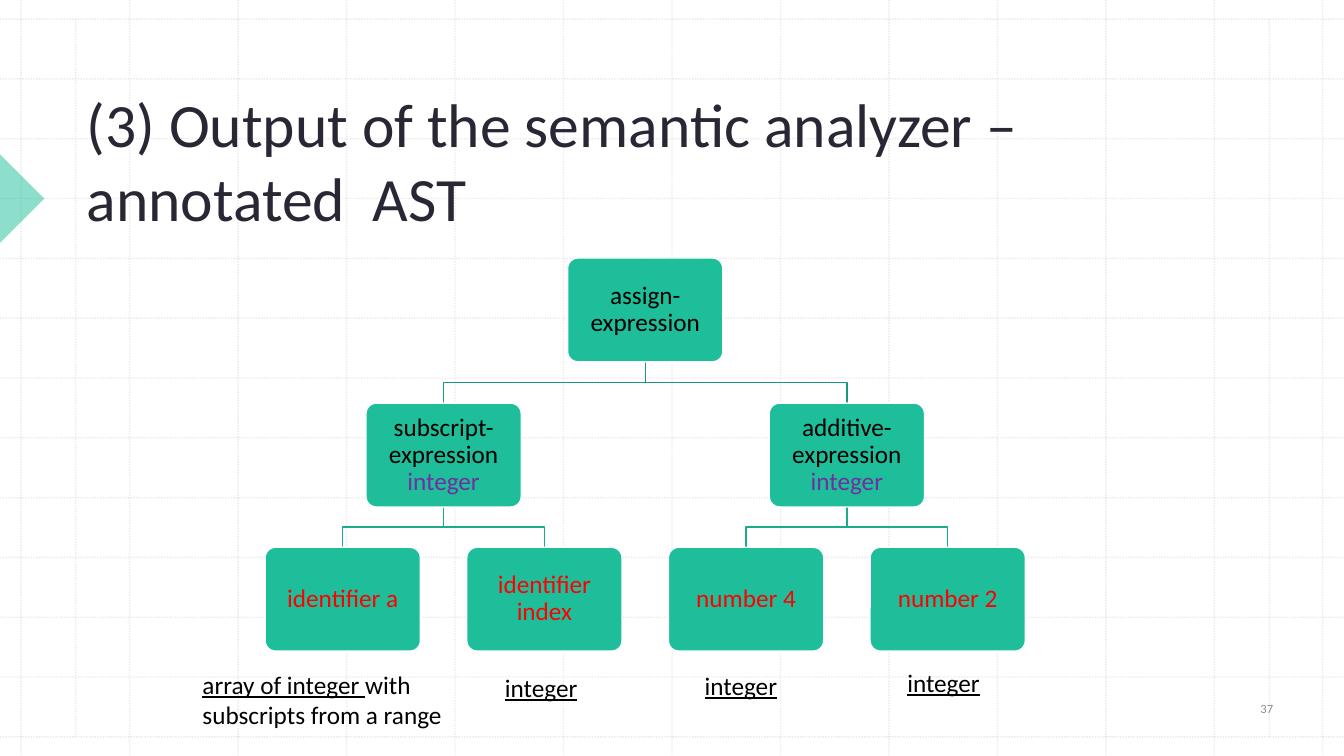
from dataclasses import dataclass

from lxml import etree
from pptx import Presentation
from pptx import util as u
from pptx.dml.color import RGBColor
from pptx.enum import dml, shapes, text
from pptx.oxml.ns import qn

FONT = "Calibri"
GREEN, BLACK, RED, PURPLE = "1EBE9B", "000000", "FF0000", "7030A0"
WIDTH, HEIGHT = 13.33, 7.5
NODE_WIDTH, NODE_HEIGHT = 1.54, 1.03
LEVEL_TOPS = [2.56, 4.0, 5.43]
EDGE_COLOURS = ["18987C", "1BAC8D"]


@dataclass
class Node:
    center: float
    level: int
    label: str
    colour: str = BLACK
    annotation: str = ""
    parent: float | None = None  # center of the parent node


@dataclass
class Note:
    left: float
    top: float
    underlined: str
    plain: str = ""
    width: float = 1.01
    height: float = 0.4


NODES = [
    Node(6.4, 0, "assign-expression"),
    Node(4.4, 1, "subscript-expression", BLACK, "integer", 6.4),
    Node(8.4, 1, "additive-expression", BLACK, "integer", 6.4),
    Node(3.4, 2, "identifier a", RED, parent=4.4),
    Node(5.4, 2, "identifier index", RED, parent=4.4),
    Node(7.4, 2, "number 4", RED, parent=8.4),
    Node(9.4, 2, "number 2", RED, parent=8.4),
]
NOTES = [
    Note(1.91, 6.59, "array of integer ", "with subscripts from a range", 2.94, 0.71),
    Note(4.91, 6.62, "integer"),
    Note(6.89, 6.6, "integer"),
    Note(8.9, 6.57, "integer"),
]


def rgb(colour: str) -> RGBColor:
    return RGBColor.from_string(colour)


def set_opacity(shape, percent: int) -> None:
    for colour in shape.element.iter(qn("a:srgbClr")):
        etree.SubElement(colour, qn("a:alpha"), val=str(percent * 1000))


def add_span(para, words: str, *, size: float = 18, colour: str = BLACK,
             underline: bool | None = None) -> None:
    span = para.add_run()
    span.text = words
    span.font.name = FONT
    span.font.size = u.Pt(size)
    span.font.color.rgb = rgb(colour)
    span.font.underline = underline


def add_text_box(page, left: float, top: float, width: float, height: float):
    box = page.shapes.add_textbox(*map(u.Inches, (left, top, width, height)))
    box.text_frame.word_wrap = True
    return box.text_frame


def add_grid_line(page, x1: float, y1: float, x2: float, y2: float) -> None:
    line = page.shapes.add_connector(
        shapes.MSO_CONNECTOR.STRAIGHT, *map(u.Inches, (x1, y1, x2, y2)))
    line.line.color.rgb = rgb("BCBCBC")
    line.line.width = u.Pt(1)
    line.line.dash_style = dml.MSO_LINE.ROUND_DOT
    set_opacity(line, 30)
    etree.SubElement(line.element.spPr, qn("a:effectLst"))


def add_background(page) -> None:
    for step in range(13):
        x = 0.21 + 12.91 * step / 12
        y = 0.19 + 7.12 * step / 12
        add_grid_line(page, x, 0, x, HEIGHT)
        add_grid_line(page, 0, y, WIDTH, y)
    for margin in (0.75, 12.59):
        add_grid_line(page, margin, 0.19, margin, 7.31)

    marker = page.shapes.add_shape(
        shapes.MSO_SHAPE.RIGHT_TRIANGLE, *map(u.Inches, (-0.31, 1.66, 0.62, 0.62)))
    marker.rotation = 225
    marker.shadow.inherit = False
    marker.fill.solid()
    marker.fill.fore_color.rgb = rgb(GREEN)
    marker.line.fill.background()
    set_opacity(marker, 50)


def add_title(page, words: str) -> None:
    title = page.shapes.title
    title.left, title.top, title.width, title.height = map(
        u.Inches, (0.76, 0.79, 11.29, 1.58))
    frame = title.text_frame
    frame.word_wrap = True
    frame.auto_size = text.MSO_AUTO_SIZE.NONE
    frame.vertical_anchor = text.MSO_ANCHOR.BOTTOM
    para = frame.paragraphs[0]
    para.alignment = text.PP_ALIGN.LEFT
    add_span(para, words, size=44, colour="2A2735")
    page.shapes.element.append(title.element)  # in front of the grid


def add_edge(page, node: Node) -> None:
    start = LEVEL_TOPS[node.level - 1] + NODE_HEIGHT
    end = LEVEL_TOPS[node.level]
    middle = (start + end) / 2
    points = [(node.parent, start), (node.parent, middle),
              (node.center, middle), (node.center, end)]
    corners = [(u.Inches(x), u.Inches(y)) for x, y in points]
    builder = page.shapes.build_freeform(*corners[0])
    builder.add_line_segments(corners[1:], close=False)
    edge = builder.convert_to_shape()
    edge.shadow.inherit = False
    edge.fill.background()
    edge.line.color.rgb = rgb(EDGE_COLOURS[node.level - 1])
    edge.line.width = u.Pt(1)


def add_node(page, node: Node) -> None:
    box = page.shapes.add_shape(
        shapes.MSO_SHAPE.ROUNDED_RECTANGLE,
        u.Inches(node.center - NODE_WIDTH / 2), u.Inches(LEVEL_TOPS[node.level]),
        u.Inches(NODE_WIDTH), u.Inches(NODE_HEIGHT))
    box.adjustments[0] = 0.1
    box.shadow.inherit = False
    box.fill.solid()
    box.fill.fore_color.rgb = rgb(GREEN)
    box.line.color.rgb = rgb("FFFFFF")
    box.line.width = u.Pt(1)

    frame = box.text_frame
    frame.word_wrap = True
    frame.vertical_anchor = text.MSO_ANCHOR.MIDDLE
    frame.margin_left = frame.margin_right = u.Inches(0.1)
    frame.margin_top = frame.margin_bottom = u.Inches(0.1)
    para = frame.paragraphs[0]
    para.alignment = text.PP_ALIGN.CENTER
    para.line_spacing = 0.9
    add_span(para, node.label, colour=node.colour)
    if node.annotation:
        para.add_line_break()
        add_span(para, node.annotation, colour=PURPLE)


def add_note(page, note: Note) -> None:
    para = add_text_box(page, note.left, note.top, note.width, note.height).paragraphs[0]
    add_span(para, note.underlined, underline=True)
    if note.plain:
        add_span(para, note.plain, underline=False)


def add_page_number(page, number: str) -> None:
    frame = add_text_box(page, 12.03, 6.8, 1.07, 0.46)
    frame.vertical_anchor = text.MSO_ANCHOR.MIDDLE
    frame.paragraphs[0].alignment = text.PP_ALIGN.CENTER
    add_span(frame.paragraphs[0], number, size=9, colour="8C8C8C")


def main() -> None:
    deck = Presentation()
    deck.slide_width, deck.slide_height = u.Inches(WIDTH), u.Inches(HEIGHT)
    page = deck.slides.add_slide(deck.slide_layouts.get_by_name("Title Only"))

    add_background(page)
    add_title(page, "(3) Output of the semantic analyzer – annotated  AST")

    # Syntax tree: edges behind nodes
    for node in NODES:
        if node.parent is not None:
            add_edge(page, node)
    for node in NODES:
        add_node(page, node)

    # Types below the leaves
    for note in NOTES:
        add_note(page, note)
    add_page_number(page, "37")
    deck.save("out.pptx")


if __name__ == "__main__":
    main()
